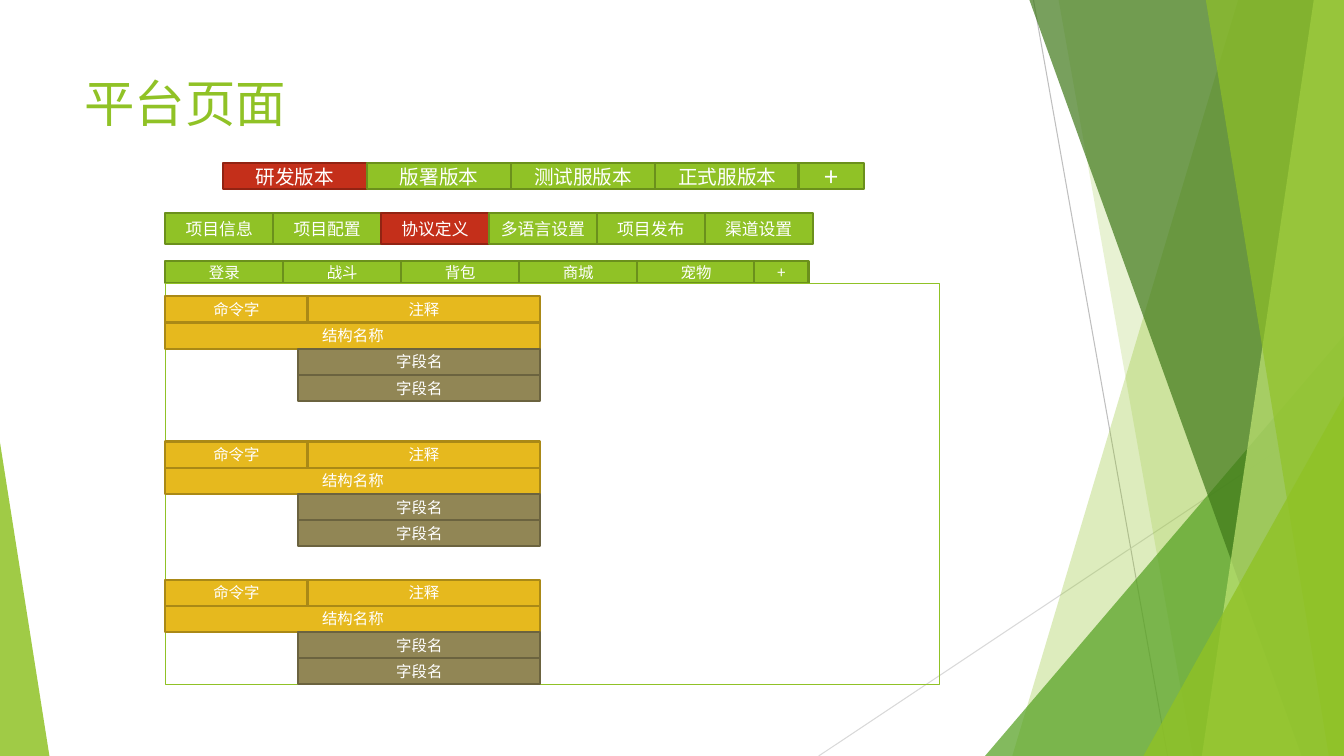
from lxml.etree import SubElement
from pptx import Presentation
from pptx.dml.color import RGBColor
from pptx.enum.shapes import MSO_CONNECTOR as LINK, MSO_SHAPE as SHAPE
from pptx.enum.text import MSO_ANCHOR as ANCHOR, PP_ALIGN as ALIGN
from pptx.oxml.ns import qn
from pptx.util import Inches, Pt

GREEN = ("90C226", "6B901C")
RED = ("C42F1A", "912313")
GOLD = ("E6B91E", "AA8916")
OLIVE = ("918655", "6B633F")
WIDTH, HEIGHT = 13.33, 7.5


def color(code):
    return RGBColor.from_string(code)


class Page:
    head_font = "Karla"
    body_font = "Noto Sans CJK SC"

    def __init__(self, slide):
        self.shapes = slide.shapes

    def line(self, start, end, shade):
        link = self.shapes.add_connector(
            LINK.STRAIGHT, *(Inches(v) for v in start + end))
        link.line.color.rgb = color(shade)
        link.line.width = Pt(0.75)
        SubElement(link._element.spPr, qn("a:effectLst"))

    def tint(self, shape, shade, alpha):
        """Fill a borderless shape, with alpha as percent opacity."""
        shape.shadow.inherit = False
        shape.line.fill.background()
        shape.fill.solid()
        shape.fill.fore_color.rgb = color(shade)
        rgb = shape._element.spPr.find(qn("a:solidFill"))[0]
        SubElement(rgb, qn("a:alpha")).set("val", str(alpha * 1000))

    def band(self, top, foot, shade, alpha):
        """Draw a full-height band from a slanted left edge to the slide's right."""
        points = [(Inches(x), Inches(y)) for x, y in
                  [(top, 0), (WIDTH, 0), (WIDTH, HEIGHT), (foot, HEIGHT)]]
        form = self.shapes.build_freeform(*points[0], scale=1.0)
        form.add_line_segments(points[1:], close=True)
        self.tint(form.convert_to_shape(), shade, alpha)

    def wedge(self, left, top, width, peak, shade, alpha):
        """Draw a triangle on the slide's foot, its tip at peak (0 left, 1 right)."""
        shape = self.shapes.add_shape(
            SHAPE.ISOSCELES_TRIANGLE, Inches(left), Inches(top),
            Inches(width), Inches(HEIGHT - top))
        shape.adjustments[0] = peak
        self.tint(shape, shade, alpha)

    def title(self, text):
        box = self.shapes.add_textbox(
            Inches(0.74), Inches(0.67), Inches(9.4), Inches(1.44))
        frame = box.text_frame
        frame.word_wrap = True
        frame.text = text
        font = frame.paragraphs[0].runs[0].font
        font.name, font.size = self.head_font, Pt(36)
        font.color.rgb = color(GREEN[0])

    def rect(self, left, top, width, height):
        shape = self.shapes.add_shape(
            SHAPE.RECTANGLE, *(Inches(v) for v in (left, top, width, height)))
        shape.shadow.inherit = False
        return shape

    def frame(self, left, top, width, height):
        shape = self.rect(left, top, width, height)
        shape.fill.background()
        shape.line.color.rgb = color(GREEN[0])
        shape.line.width = Pt(0.75)

    def cell(self, text, left, top, width, height, tone, size=11):
        shape = self.rect(left, top, width, height)
        shape.fill.solid()
        shape.fill.fore_color.rgb = color(tone[0])
        shape.line.color.rgb = color(tone[1])
        shape.line.width = Pt(1.5)
        frame = shape.text_frame
        frame.word_wrap = True
        frame.margin_left = frame.margin_right = Inches(0.05)
        frame.vertical_anchor = ANCHOR.MIDDLE
        frame.text = text
        para = frame.paragraphs[0]
        para.alignment = ALIGN.CENTER
        run = para.runs[0]
        run.font.name, run.font.size = self.body_font, Pt(size)
        run.font.color.rgb = color("FFFFFF")
        SubElement(run.font._element, qn("a:ea")).set("typeface", self.body_font)

    def tabs(self, names, left, top, step, height, size, active=None):
        for i, name in enumerate(names):
            tone = RED if name == active else GREEN
            self.cell(name, left + i * step, top, step, height, tone, size)

    def block(self, top):
        """Draw one command: its header, structure row and two fields."""
        left, high = 1.64, 0.26
        self.cell("命令字", left, top, 1.41, high, GOLD)
        self.cell("注释", 3.05, top, 2.31, high, GOLD)
        self.cell("结构名称", left, top + high, 3.72, high, GOLD)
        for row in (2, 3):
            self.cell("字段名", 2.96, top + row * high, 2.4, high, OLIVE)


def main():
    deck = Presentation()
    deck.slide_width, deck.slide_height = Inches(WIDTH), Inches(HEIGHT)
    page = Page(deck.slides.add_slide(deck.slide_layouts[6]))

    page.line((10.25, 0), (11.58, HEIGHT), "BFBFBF")
    page.line((WIDTH, 4.03), (8.12, HEIGHT), "D9D9D9")
    page.band(12.28, 10.04, "90C226", 30)
    page.band(10.5, 11.83, "90C226", 20)
    page.wedge(9.77, 3.33, 3.56, 1, "54A021", 72)
    page.band(10.21, 12.91, "3F7819", 70)
    page.band(13.03, 11.92, "C0E474", 70)
    page.band(11.96, 13.18, "90C226", 65)
    page.wedge(11.34, 3.93, 1.99, 1, "90C226", 80)
    page.wedge(0, 4.39, 0.49, 0, "90C226", 85)

    page.title("平台页面")
    page.tabs(["研发版本", "版署版本", "测试服版本", "正式服版本"],
              2.21, 1.62, 1.43, 0.26, 14, "研发版本")
    page.cell("+", 7.92, 1.62, 0.65, 0.26, GREEN, 18)
    page.tabs(["登录", "战斗", "背包", "商城", "宠物"], 1.64, 2.59, 1.17, 0.22, 11)
    page.cell("+", 7.48, 2.59, 0.54, 0.22, GREEN)
    page.frame(1.64, 2.81, 7.68, 3.98)
    for top in (2.94, 4.38, 5.75):
        page.block(top)
    page.tabs(["项目信息", "项目配置", "协议定义", "多语言设置", "项目发布", "渠道设置"],
              1.64, 2.11, 1.07, 0.31, 12, "协议定义")
    deck.save("out.pptx")


if __name__ == "__main__":
    main()
